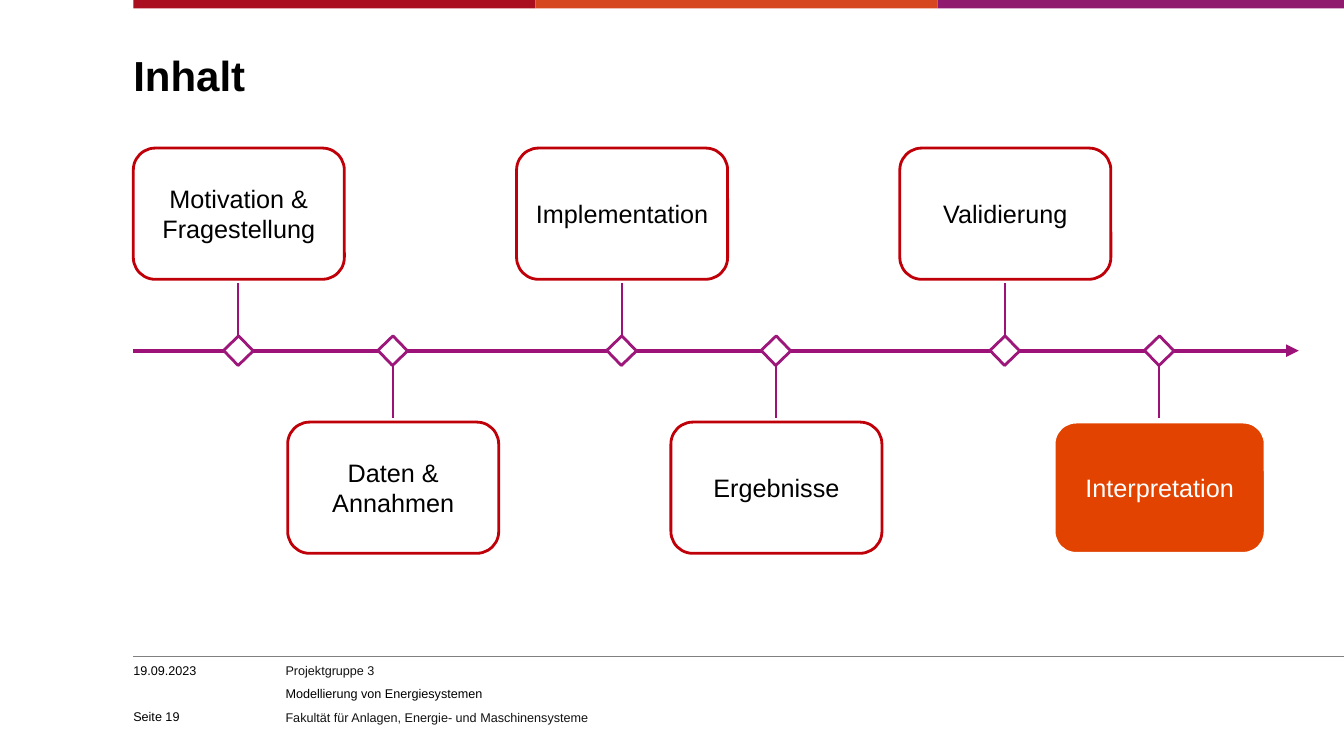
from lxml import etree
from pptx import Presentation
from pptx.dml.color import RGBColor
from pptx.enum.shapes import MSO_CONNECTOR, MSO_SHAPE
from pptx.enum.text import MSO_ANCHOR, PP_ALIGN
from pptx.oxml.ns import qn
from pptx.util import Pt

PX = 9525
FONT = "Arial"
STRAIGHT = MSO_CONNECTOR.STRAIGHT
RECT = MSO_SHAPE.RECTANGLE
ROUNDED = MSO_SHAPE.ROUNDED_RECTANGLE
TOP, MIDDLE, BOTTOM = MSO_ANCHOR.TOP, MSO_ANCHOR.MIDDLE, MSO_ANCHOR.BOTTOM
CENTER = PP_ALIGN.CENTER

BLACK = RGBColor(0x00, 0x00, 0x00)
INK = RGBColor(0x14, 0x13, 0x13)
WHITE = RGBColor(0xFF, 0xFF, 0xFF)
GREY = RGBColor(0x80, 0x80, 0x80)
RED = RGBColor(0xC0, 0x00, 0x09)
ORANGE = RGBColor(0xE2, 0x43, 0x00)
PURPLE = RGBColor(0x9D, 0x12, 0x79)
DIAMOND_PURPLE = RGBColor(0x9D, 0x16, 0x7A)
BAR_RED = RGBColor(0xAA, 0x0F, 0x1F)
BAR_ORANGE = RGBColor(0xD7, 0x47, 0x1F)
BAR_PURPLE = RGBColor(0x90, 0x1B, 0x6E)

LEFT, RIGHT = 127, 1280
AXIS_Y = 334
CARD_W, CARD_H, CARD_PITCH = 201, 125, 365
DIAMOND = 20


class Deck:
    def __init__(self):
        self.prs = Presentation()
        self.prs.slide_width = 1280 * PX
        self.prs.slide_height = 720 * PX
        self.s = self.prs.slides.add_slide(self.prs.slide_layouts[6])

    def shape(self, kind, x, y, w, h, fill, line=None, rotation=0):
        sp = self.s.shapes.add_shape(kind, x * PX, y * PX, w * PX, h * PX)
        sp.shadow.inherit = False
        sp.rotation = rotation
        sp.fill.solid()
        sp.fill.fore_color.rgb = fill
        if line is None:
            sp.line.fill.background()
        else:
            sp.line.color.rgb = line
            sp.line.width = Pt(2)
        return sp

    def card(self, x, y, label, fill, line, color):
        sp = self.shape(ROUNDED, x, y, CARD_W, CARD_H, fill, line)
        tf = sp.text_frame
        tf.word_wrap = True
        tf.vertical_anchor = MIDDLE
        p = tf.paragraphs[0]
        p.alignment = CENTER
        self.fill_paragraph(p, label, 18, color)

    def line(self, x1, y1, x2, y2, color, width, arrow=False):
        cx = self.s.shapes.add_connector(STRAIGHT, x1 * PX, y1 * PX, x2 * PX, y2 * PX)
        cx.line.color.rgb = color
        cx.line.width = Pt(width)
        sp_pr = cx.element.spPr
        if arrow:
            etree.SubElement(sp_pr.find(qn("a:ln")), qn("a:tailEnd"), type="triangle")
        etree.SubElement(sp_pr, qn("a:effectLst"))

    def text(self, x, y, w, h, lines, size=9, bold=False, anchor=TOP,
             wrap=True, after=None, spacing=None):
        tf = self.s.shapes.add_textbox(x * PX, y * PX, w * PX, h * PX).text_frame
        tf.margin_left = tf.margin_right = tf.margin_top = tf.margin_bottom = 0
        tf.word_wrap = wrap
        tf.vertical_anchor = anchor
        for i, (text, color) in enumerate(lines):
            p = tf.add_paragraph() if i else tf.paragraphs[0]
            p.space_after = after
            p.line_spacing = spacing
            self.fill_paragraph(p, text, size, color, bold)

    def fill_paragraph(self, p, text, size, color, bold=False):
        p.font.name = FONT
        p.font.size = Pt(size)
        p.font.bold = bold
        p.font.color.rgb = color
        p.add_run().text = text


def main():
    deck = Deck()

    for x, w, color in [(LEFT, 383, BAR_RED), (510, 383, BAR_ORANGE), (893, 387, BAR_PURPLE)]:
        deck.shape(RECT, x, 0, w, 8, color)

    deck.text(LEFT, 55, 1134, 75, [("Inhalt", BLACK)], size=30, bold=True, spacing=Pt(30))

    deck.line(LEFT, 625, RIGHT, 625, GREY, 0.5)
    deck.text(LEFT, 631, 136, 19, [("19.09.2023", BLACK)], wrap=False)
    deck.text(LEFT, 668, 136, 22, [("Seite 19", BLACK)], anchor=BOTTOM)
    deck.text(272, 631, 620, 64, [
        ("Projektgruppe 3", INK),
        ("Modellierung von Energiesystemen", BLACK),
        ("Fakultät für Anlagen, Energie- und Maschinensysteme", INK),
    ], wrap=False, after=Pt(6))

    deck.line(LEFT, AXIS_Y, 1237, AXIS_Y, PURPLE, 3, arrow=True)
    rows = [
        (LEFT, 141, 320, 270, ["Motivation & Fragestellung", "Implementation", "Validierung"]),
        (274, 402, 398, 348, ["Daten & Annahmen", "Ergebnisse", "Interpretation"]),
    ]
    for left, top, stem_start, stem_end, labels in rows:
        for i, label in enumerate(labels):
            x = left + i * CARD_PITCH
            center = x + CARD_W // 2
            current = label == "Interpretation"
            fill, line, color = (ORANGE, WHITE, WHITE) if current else (WHITE, RED, BLACK)
            deck.card(x, top, label, fill, line, color)
            deck.shape(RECT, center - DIAMOND // 2, AXIS_Y - DIAMOND // 2,
                       DIAMOND, DIAMOND, WHITE, DIAMOND_PURPLE, rotation=46)
            deck.line(center, stem_start, center, stem_end, PURPLE, 1.5)

    deck.prs.save("out.pptx")


if __name__ == "__main__":
    main()
